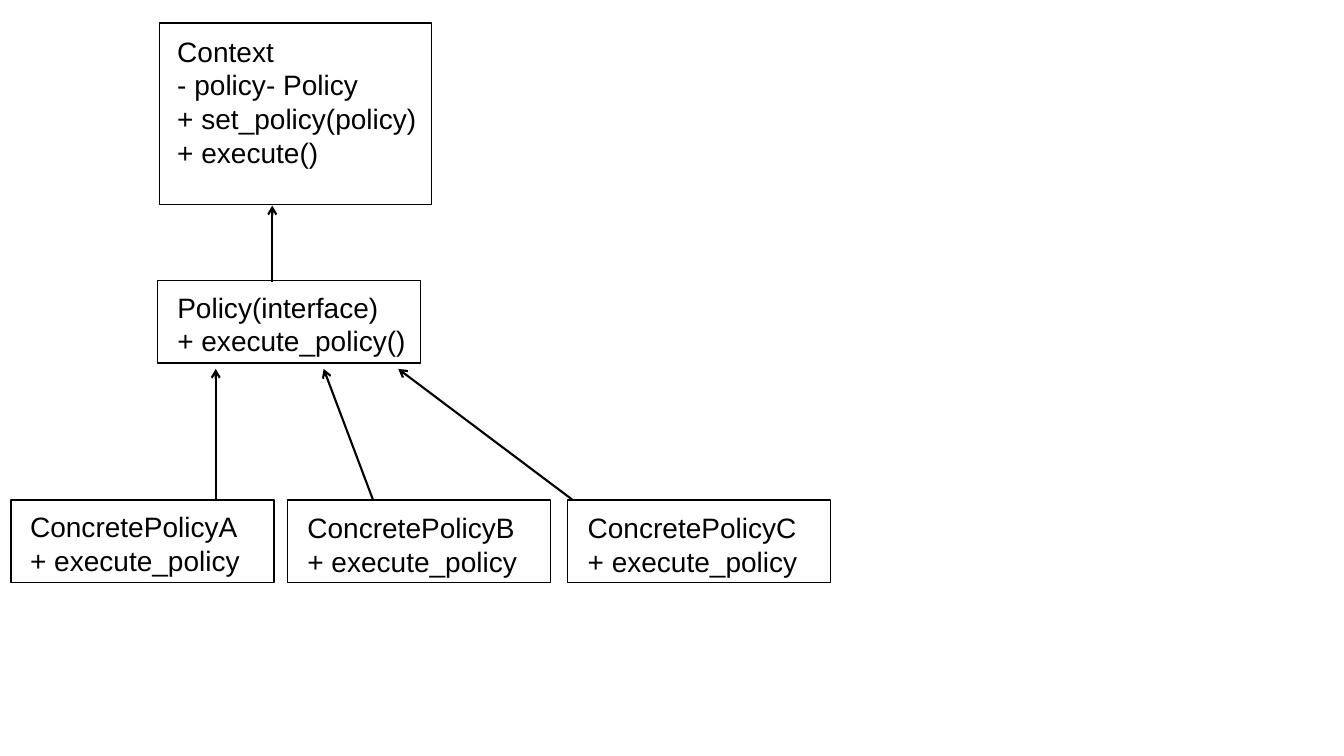
from dataclasses import dataclass

from lxml import etree
from pptx import Presentation
from pptx import util as u
from pptx.dml.color import RGBColor
from pptx.enum import shapes, text
from pptx.oxml.ns import qn

BLACK = RGBColor(0x00, 0x00, 0x00)
WHITE = RGBColor(0xFF, 0xFF, 0xFF)
FONT = "Arial"
CLASS_W, CLASS_H = 2.61, 0.82
CONCRETE_TOP = 4.96
LINE_H, TEXT_PAD = 0.333, 0.1


@dataclass
class ClassBox:
    left: float
    top: float
    lines: list[str]
    width: float = CLASS_W
    height: float = CLASS_H
    dx: float = 0.1
    dy: float = 0.05
    text_width: float = 2.52


@dataclass
class Arrow:
    x1: float
    y1: float
    x2: float
    y2: float


def add_text(parent, lines: list[str], left: float, top: float, width: float,
             *, size: float = 20, font: str = FONT, color: RGBColor = BLACK) -> None:
    height = len(lines) * LINE_H + TEXT_PAD
    tb = parent.add_textbox(*map(u.Inches, (left, top, width, height)))
    tf = tb.text_frame
    tf.word_wrap = True
    tf.auto_size = text.MSO_AUTO_SIZE.SHAPE_TO_FIT_TEXT
    for i, line in enumerate(lines):
        p = tf.paragraphs[0] if i == 0 else tf.add_paragraph()
        r = p.add_run()
        r.text = line
        r.font.size = u.Pt(size)
        r.font.name = font
        r.font.color.rgb = color


def draw_class(slide, box: ClassBox) -> None:
    group = slide.shapes.add_group_shape()
    sp = group.shapes.add_shape(
        shapes.MSO_SHAPE.RECTANGLE,
        *map(u.Inches, (box.left, box.top, box.width, box.height)))
    sp.shadow.inherit = False
    sp.fill.solid()
    sp.fill.fore_color.rgb = WHITE
    sp.line.color.rgb = BLACK
    sp.line.width = u.Pt(1)
    add_text(group.shapes, box.lines, box.left + box.dx, box.top + box.dy,
             box.text_width)


def draw_arrow(slide, arrow: Arrow) -> None:
    c = slide.shapes.add_connector(
        shapes.MSO_CONNECTOR.STRAIGHT,
        *map(u.Inches, (arrow.x1, arrow.y1, arrow.x2, arrow.y2)))
    c.line.color.rgb = BLACK
    c.line.width = u.Pt(1.5)
    ln = c._element.spPr.find(qn("a:ln"))
    etree.SubElement(ln, qn("a:tailEnd"), type="arrow")
    etree.SubElement(c._element.spPr, qn("a:effectLst"))


CLASSES = [
    ClassBox(1.58, 0.23,
             ["Context", "- policy- Policy", "+ set_policy(policy)", "+ execute()"],
             width=2.7, height=1.8, dx=0.08, dy=0.06, text_width=2.6),
    ClassBox(1.56, 2.78, ["Policy(interface)", "+ execute_policy()"]),
] + [
    ClassBox(left, CONCRETE_TOP, [f"ConcretePolicy{letter}", "+ execute_policy"],
             dx=dx, dy=dy)
    for letter, left, dx, dy in (("A", 0.11, 0.09, 0.05),
                                 ("B", 2.85, 0.1, 0.06),
                                 ("C", 5.63, 0.1, 0.06))
]

# Policy to Context, then each concrete policy to Policy
ARROWS = [Arrow(2.7, 2.8, 2.7, 2.04)] + [
    Arrow(start, CONCRETE_TOP, end, 3.66)
    for start, end in ((2.14, 2.14), (3.7, 3.21), (5.68, 3.95))
]


def main() -> None:
    prs = Presentation()
    prs.slide_width, prs.slide_height = u.Inches(13.33), u.Inches(7.5)
    s = prs.slides.add_slide(prs.slide_layouts[6])

    # Class boxes
    for box in CLASSES:
        draw_class(s, box)

    # Relations
    for arrow in ARROWS:
        draw_arrow(s, arrow)

    prs.save("out.pptx")


if __name__ == "__main__":
    main()
